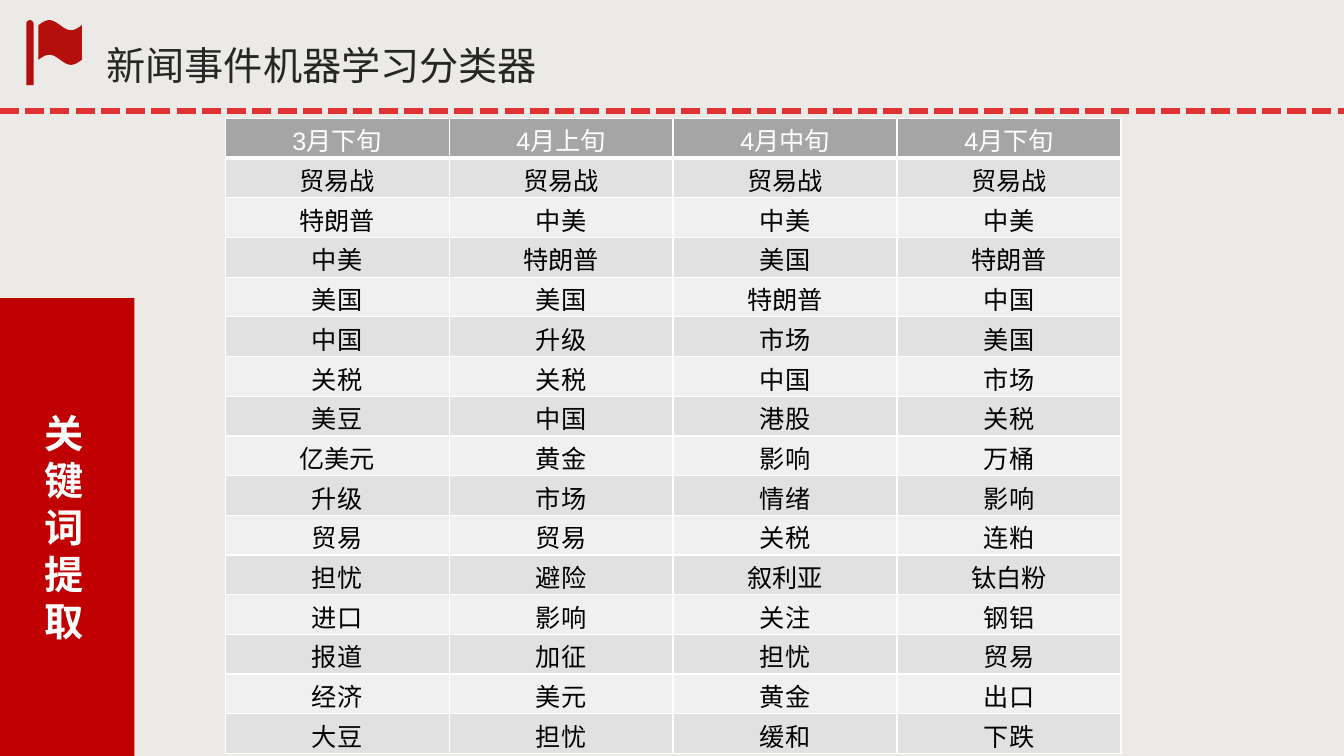
from math import cos, pi, sin

from lxml.etree import SubElement
from pptx import Presentation
from pptx.dml.color import RGBColor
from pptx.enum.dml import MSO_LINE
from pptx.enum.shapes import MSO_CONNECTOR, MSO_SHAPE
from pptx.enum.text import MSO_ANCHOR, MSO_AUTO_SIZE, PP_ALIGN
from pptx.oxml.ns import qn
from pptx.util import Pt


def color(hex_string):
    return RGBColor.from_string(hex_string)


def add_label(text, left, top, width, height, font_name, hex_string, bold):
    box = page.shapes.add_textbox(Pt(left), Pt(top), Pt(width), Pt(height))
    frame = box.text_frame
    frame.word_wrap = True
    frame.auto_size = MSO_AUTO_SIZE.SHAPE_TO_FIT_TEXT
    para = frame.paragraphs[0]
    para.text = text
    para.font.name = font_name
    para.font.size = Pt(28)
    para.font.bold = bold
    para.font.color.rgb = color(hex_string)


deck = Presentation()
deck.slide_width, deck.slide_height = Pt(960), Pt(540)
page = deck.slides.add_slide(deck.slide_layouts[6])
page.background.fill.solid()
page.background.fill.fore_color.rgb = color("EBEAE7")

# Dashed rule under the title
rule = page.shapes.add_connector(MSO_CONNECTOR.STRAIGHT, 0, Pt(79.2), Pt(960), Pt(79.2))
rule.line.color.rgb = color("DF3232")
rule.line.width = Pt(4.5)
rule.line.dash_style = MSO_LINE.SQUARE_DOT
rule.line.dash_style = MSO_LINE.ROUND_DOT
rule.line._ln.find(qn("a:prstDash")).set("val", "sysDash")
SubElement(rule._element.spPr, qn("a:effectLst"))

# Side panel
panel = page.shapes.add_shape(MSO_SHAPE.RECTANGLE, 0, Pt(213), Pt(96), Pt(327))
panel.shadow.inherit = False
panel.fill.solid()
panel.fill.fore_color.rgb = color("C00000")
panel.line.fill.background()
add_label("关键词提取", 24.5, 289, 67, 177, "Arial", "FFFFFF", True)

# Flag: a cloth bounded by two sine waves, and a pole with a round top
steps = 32
wave = [(27.5 + 31 * i / steps, 18 - 3.6 * sin(2 * pi * i / steps)) for i in range(steps + 1)]
cloth = wave + [(x, y + 24.7) for x, y in reversed(wave)]
dome = [(21.4 - 2.6 * cos(pi * i / 12), 17 - 2.6 * sin(pi * i / 12)) for i in range(13)]
pole = dome + [(24, 60.8), (18.8, 60.8)]
for outline in (cloth, pole):
    points = [(Pt(x), Pt(y)) for x, y in outline]
    builder = page.shapes.build_freeform(*points[0])
    builder.add_line_segments(points[1:], close=True)
    part = builder.convert_to_shape()
    part.shadow.inherit = False
    part.fill.solid()
    part.fill.fore_color.rgb = color("B50F0C")
    part.line.fill.background()

add_label("新闻事件机器学习分类器", 69, 26, 349, 41, "Noto Sans CJK SC", "262626", False)

# Keywords by ten-day period
keywords = [
    ("3月下旬", "4月上旬", "4月中旬", "4月下旬"),
    ("贸易战", "贸易战", "贸易战", "贸易战"),
    ("特朗普", "中美", "中美", "中美"),
    ("中美", "特朗普", "美国", "特朗普"),
    ("美国", "美国", "特朗普", "中国"),
    ("中国", "升级", "市场", "美国"),
    ("关税", "关税", "中国", "市场"),
    ("美豆", "中国", "港股", "关税"),
    ("亿美元", "黄金", "影响", "万桶"),
    ("升级", "市场", "情绪", "影响"),
    ("贸易", "贸易", "关税", "连粕"),
    ("担忧", "避险", "叙利亚", "钛白粉"),
    ("进口", "影响", "关注", "钢铝"),
    ("报道", "加征", "担忧", "贸易"),
    ("经济", "美元", "黄金", "出口"),
    ("大豆", "担忧", "缓和", "下跌"),
]
row_height = 28.35
table = page.shapes.add_table(
    len(keywords), 4, Pt(160.8), Pt(84.6), Pt(640), Pt(row_height * len(keywords))
).table
for row_index, words in enumerate(keywords):
    table.rows[row_index].height = Pt(row_height)
    is_header = row_index == 0
    if is_header:
        fill_color = "A5A5A5"
    else:
        fill_color = "E1E1E1" if row_index % 2 else "F0F0F0"
    for column_index, word in enumerate(words):
        cell = table.cell(row_index, column_index)
        cell.margin_left = cell.margin_right = cell.margin_top = Pt(0.75)
        cell.margin_bottom = 0
        cell.vertical_anchor = MSO_ANCHOR.BOTTOM
        properties = cell._tc.get_or_add_tcPr()
        for side in ("lnL", "lnR", "lnT", "lnB"):
            under_header = (row_index, side) in ((0, "lnB"), (1, "lnT"))
            border = SubElement(properties, qn(f"a:{side}"), w=str(Pt(3 if under_header else 1)))
            SubElement(SubElement(border, qn("a:solidFill")), qn("a:srgbClr"), val="FFFFFF")
        cell.fill.solid()
        cell.fill.fore_color.rgb = color(fill_color)
        para = cell.text_frame.paragraphs[0]
        para.text = word
        para.alignment = PP_ALIGN.CENTER
        para.font.name = "Arial"
        para.font.size = Pt(18)
        para.font.bold = False
        para.font.color.rgb = color("FFFFFF" if is_header else "000000")

deck.save("out.pptx")
